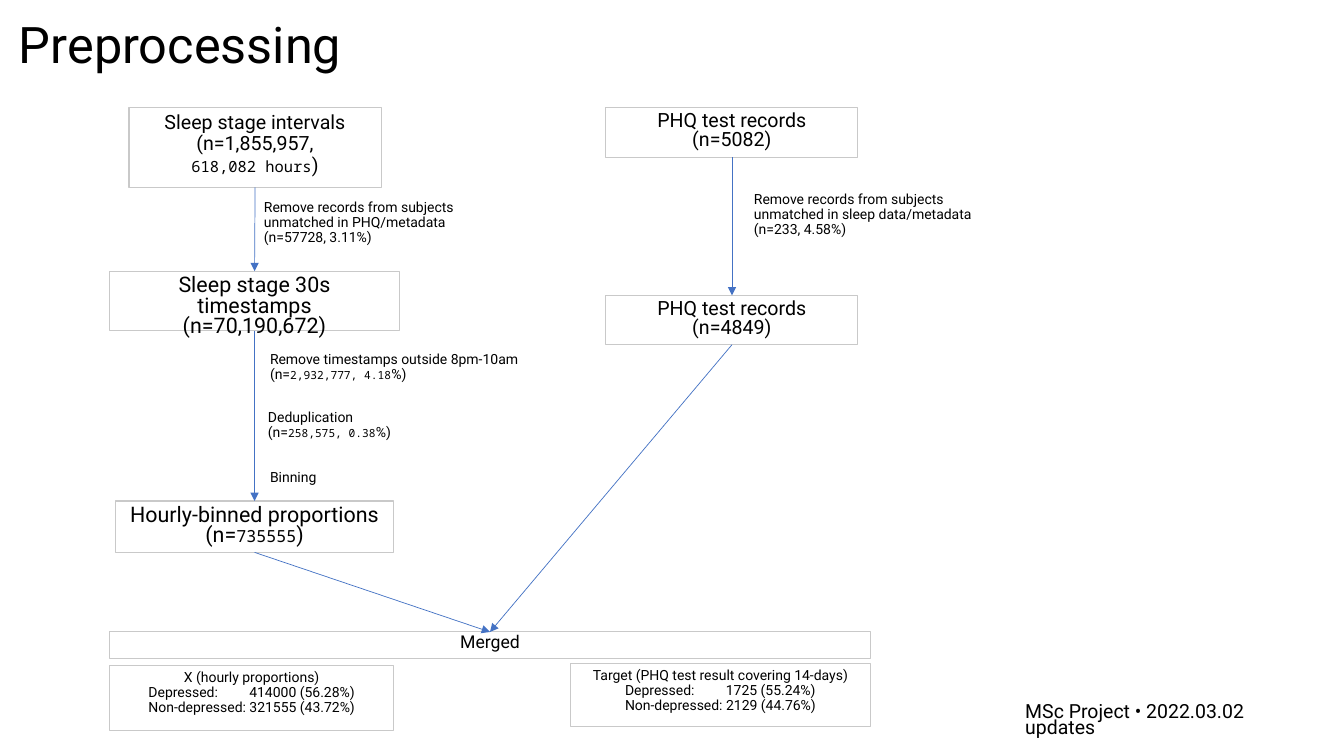
import copy
from dataclasses import dataclass

import pptx
import pptx.dml.color
import pptx.enum.shapes
import pptx.enum.text
import pptx.oxml.ns
import pptx.util
from lxml import etree
from pptx.util import Inches

ALIGN = pptx.enum.text.PP_ALIGN
ANCHOR = pptx.enum.text.MSO_ANCHOR


@dataclass(frozen=True)
class Theme:
    """Colours, fonts and type sizes of the slide."""
    ink: str = "000000"
    frame: str = "C9C9C9"
    arrow: str = "4472C4"
    font: str = "Roboto"
    mono: str = "Noto Sans Mono"
    title: float = 36
    footer: float = 13.9
    stage: float = 15.3
    stage_mono: float = 11.9
    record: float = 14
    record_mono: float = 11
    merged: float = 12.6
    note: float = 10
    note_mono: float = 8


T = Theme()


def rgb(value):
    """Turn a hex string into a colour."""
    return pptx.dml.color.RGBColor.from_string(value)


def write(shape, text, size, mono_size=None, align=ALIGN.LEFT,
          anchor=ANCHOR.TOP, spacing=0.9, before=10):
    """Fill a shape with one paragraph; parts between bars are monospaced."""
    tf = shape.text_frame
    tf.word_wrap = True
    tf.vertical_anchor = anchor
    p = tf.paragraphs[0]
    p.alignment = align
    p.line_spacing = spacing
    p.space_before = pptx.util.Pt(before)
    for i, part in enumerate(text.split("|")):
        mono = i % 2 == 1
        for j, line in enumerate(part.split("\n")):
            if j:
                p.add_line_break()
                p._p[-1].append(copy.deepcopy(r._r.rPr))
            if line:
                r = p.add_run()
                r.text = line
                r.font.name = T.mono if mono else T.font
                r.font.size = pptx.util.Pt(mono_size if mono else size)
                r.font.color.rgb = rgb(T.ink)


def add_text(s, box, text, size, **fmt):
    """Add a text box at the given box."""
    write(s.shapes.add_textbox(*map(Inches, box)), text, size, **fmt)


def add_step(s, box, text, size, **fmt):
    """Add an outlined step with centred text."""
    sp = s.shapes.add_shape(pptx.enum.shapes.MSO_SHAPE.RECTANGLE, *map(Inches, box))
    sp.shadow.inherit = False
    sp.fill.background()
    sp.line.color.rgb = rgb(T.frame)
    sp.line.width = pptx.util.Pt(0.75)
    write(sp, text, size, align=ALIGN.CENTER, **fmt)
    return sp


def add_arrow(s, start, end):
    """Join the bottom of one step to the top of the next."""
    c = s.shapes.add_connector(pptx.enum.shapes.MSO_CONNECTOR.STRAIGHT, 0, 0, 0, 0)
    c.begin_connect(start, 2)
    c.end_connect(end, 0)
    c.line.color.rgb = rgb(T.arrow)
    c.line.width = pptx.util.Pt(0.5)
    qn = pptx.oxml.ns.qn
    etree.SubElement(c.line._get_or_add_ln(), qn("a:tailEnd"), type="triangle")
    etree.SubElement(c._element.spPr, qn("a:effectLst"))


def add_notes(s, x, y, notes):
    """Place the remarks beside the arrows of a branch."""
    for dx, dy, h, text in notes:
        add_text(s, (x + dx, y + dy, 4.1, h), text, T.note, mono_size=T.note_mono)


def sleep_branch(s, x, y):
    """Draw the sleep stage branch around centre x and return its last step."""
    intervals = add_step(s, (x - 1.25, y, 2.5, 0.79),
                         "Sleep stage intervals\n(n=1,855,957,\n|618,082 hours|)",
                         T.record, mono_size=T.record_mono)
    stamps = add_step(s, (x - 1.44, y + 1.62, 2.87, 0.59),
                      "Sleep stage 30s timestamps\n(n=70,190,672)",
                      T.stage, spacing=0.8)
    hourly = add_step(s, (x - 1.38, y + 3.9, 2.75, 0.51),
                      "Hourly-binned proportions\n(n=|735555|)",
                      T.stage, mono_size=T.stage_mono, spacing=0.8)
    add_notes(s, x, y, [
        (-0.01, 0.87, 0.65, "Remove records from subjects\n"
                            "unmatched in PHQ/metadata\n(n=57728, 3.11%)"),
        (0.05, 2.38, 0.51, "Remove timestamps outside 8pm-10am\n(n=|2,932,777, 4.18|%)"),
        (0.03, 2.95, 0.51, "Deduplication\n(n=|258,575, 0.38|%)"),
        (0.05, 3.55, 0.51, "Binning"),
    ])
    add_arrow(s, intervals, stamps)
    add_arrow(s, stamps, hourly)
    return hourly


def phq_branch(s, x, y):
    """Draw the PHQ branch around centre x and return its last step."""
    before, after = [
        add_step(s, (x - 1.25, y + dy, 2.5, 0.49), f"PHQ test records\n(n={n})",
                 T.record, spacing=0.8)
        for dy, n in ((0, 5082), (1.86, 4849))]
    add_notes(s, x, y, [
        (0.12, 0.79, 0.65, "Remove records from subjects\n"
                           "unmatched in sleep data/metadata\n(n=233, 4.58%)"),
    ])
    add_arrow(s, before, after)
    return after


def merged_result(s, x, y):
    """Draw the merged bar with its class counts and return the bar."""
    bar = add_step(s, (x, y, 7.54, 0.26), "Merged", T.merged, spacing=0.7)
    add_step(s, (x, y + 0.33, 2.81, 0.65),
             "X (hourly proportions)\nDepressed:\t414000 (56.28%)\n"
             "Non-depressed: 321555 (43.72%)", T.note)
    add_step(s, (x + 4.57, y + 0.31, 2.97, 0.63),
             "Target (PHQ test result covering 14-days)\n"
             "Depressed:\t1725 (55.24%)\nNon-depressed: 2129 (44.76%)", T.note)
    return bar


def preprocessing_slide(prs):
    """Build the preprocessing flow slide."""
    s = prs.slides.add_slide(prs.slide_layouts[6])
    add_text(s, (0.09, 0.02, 12.33, 0.77), "Preprocessing", T.title,
             anchor=ANCHOR.BOTTOM, before=0)
    add_text(s, (10.07, 6.95, 3.08, 0.42), "MSc Project • 2022.03.02 updates",
             T.footer, anchor=ANCHOR.BOTTOM, spacing=0.7, before=0)
    hourly = sleep_branch(s, 2.53, 1.07)
    records = phq_branch(s, 7.26, 1.07)
    merged = merged_result(s, 1.09, 6.27)
    for source in (hourly, records):
        add_arrow(s, source, merged)


def main():
    """Create and save the presentation."""
    prs = pptx.Presentation()
    prs.slide_width, prs.slide_height = Inches(13.33), Inches(7.5)
    preprocessing_slide(prs)
    prs.save("out.pptx")


if __name__ == "__main__":
    main()
